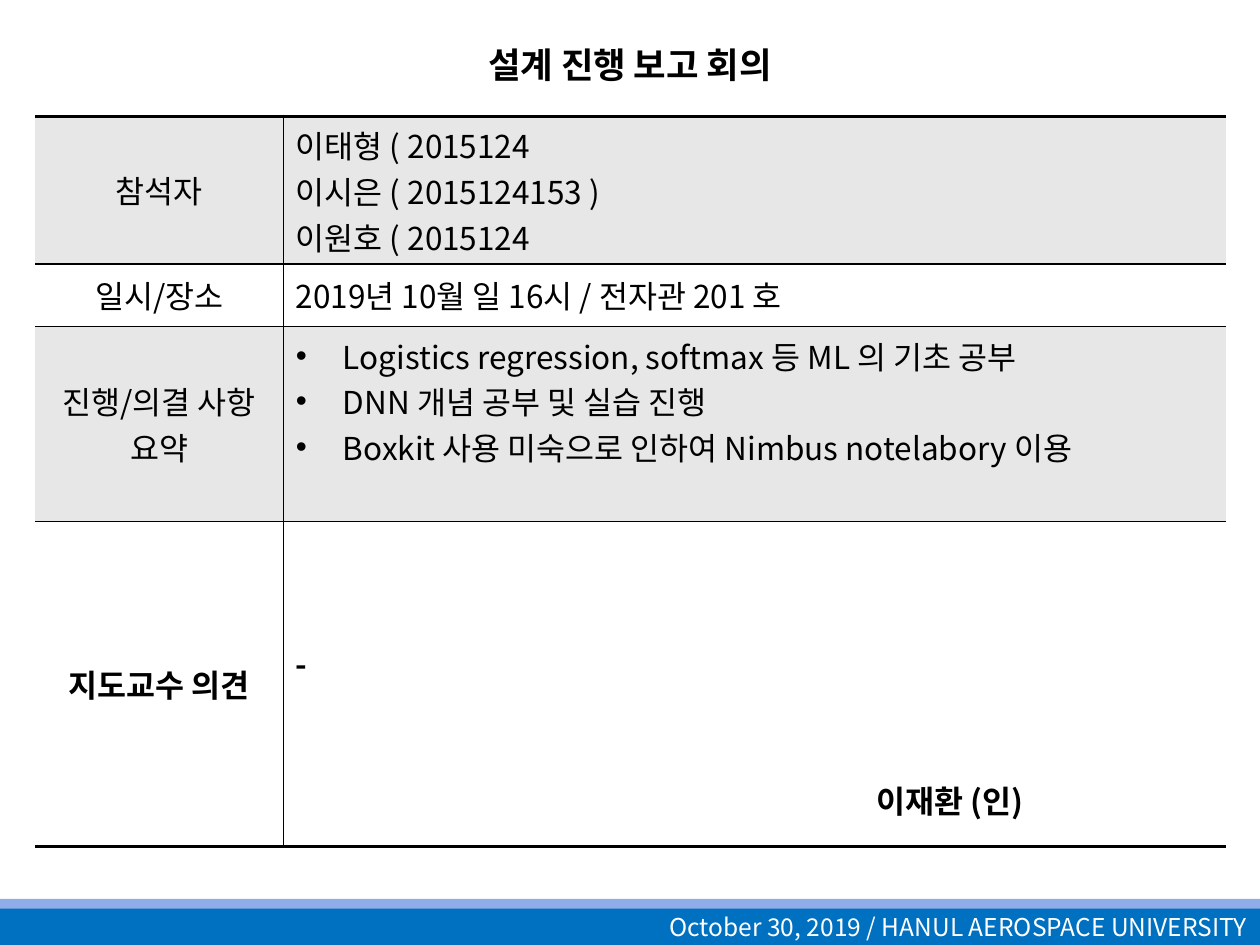
from lxml import etree
from pptx import Presentation
from pptx.dml.color import RGBColor
from pptx.enum.shapes import MSO_SHAPE
from pptx.enum.text import MSO_ANCHOR, PP_ALIGN
from pptx.oxml.ns import qn
from pptx.util import Cm, Pt

FONT = "Noto Sans CJK KR"
COLORS = {"black": "000000", "white": "FFFFFF", "band": "E7E7E7",
          "footer": "0070C0", "stripe": "8FADE9"}
COLUMN_WIDTHS = (5.0, 19.0)
ROW_HEIGHTS = (2.98, 1.26, 3.93, 6.56)
LABELS = ("참석자", "일시/장소", "진행/의결 사항 요약", "지도교수 의견")
CONTENTS = (
    ("이태형 ( 2015124", "이시은 ( 2015124153 )", "이원호 ( 2015124"),
    ("2019년 10월 일 16시 / 전자관 201 호",),
    ("Logistics regression, softmax 등 ML 의 기초 공부",
     "DNN 개념 공부 및 실습 진행",
     "Boxkit 사용 미숙으로 인하여 Nimbus notelabory 이용"),
    ("-", "이재환 (인)"),
)
SUMMARY_ROW, OPINION_ROW = 2, 3


def rgb(name):
    """Return a palette colour."""
    return RGBColor.from_string(COLORS[name])


def write(frame, lines, size, color="black", bold=False, align=PP_ALIGN.LEFT):
    """Write one paragraph per line with a single text style."""
    frame.word_wrap = True
    for number, line in enumerate(lines):
        paragraph = frame.paragraphs[0] if number == 0 else frame.add_paragraph()
        paragraph.alignment = align
        run = paragraph.add_run()
        run.text = line
        font = run.font
        font.name, font.size, font.bold = FONT, Pt(size), bold
        font.color.rgb = rgb(color)
        east_asian = etree.Element(qn("a:ea"), typeface=FONT)
        run._r.rPr.find(qn("a:latin")).addnext(east_asian)


def indent(paragraph, left, first=0.0, bullet=None):
    """Indent a paragraph and optionally give it a bullet."""
    properties = paragraph._p.get_or_add_pPr()
    properties.set("marL", str(Cm(left)))
    properties.set("indent", str(Cm(first)))
    if bullet:
        etree.SubElement(properties, qn("a:buFont"), typeface="Arial")
        etree.SubElement(properties, qn("a:buChar"), char=bullet)


def set_borders(cell, **widths):
    """Set the cell borders L, R, T and B in points; zero means no line."""
    properties = cell._tc.get_or_add_tcPr()
    for position, side in enumerate("LRTB"):
        line = etree.Element(qn("a:ln" + side), w=str(Pt(widths[side])))
        if widths[side]:
            fill = etree.SubElement(line, qn("a:solidFill"))
            etree.SubElement(fill, qn("a:srgbClr"), val=COLORS["black"])
        else:
            etree.SubElement(line, qn("a:noFill"))
        properties.insert(position, line)


def add_bar(slide, top, height, color):
    """Add a full-width plain bar."""
    bar = slide.shapes.add_shape(MSO_SHAPE.RECTANGLE, 0, Cm(top), Cm(25.4), Cm(height))
    bar.shadow.inherit = False
    bar.fill.solid()
    bar.fill.fore_color.rgb = rgb(color)
    bar.line.fill.background()
    return bar


def add_footer(slide):
    """Add the footer bar, its text and the stripe above it."""
    frame = add_bar(slide, 18.31, 0.74, "footer").text_frame
    frame.vertical_anchor = MSO_ANCHOR.MIDDLE
    write(frame, ["October 30, 2019 / HANUL AEROSPACE UNIVERSITY"], 14, "white",
          align=PP_ALIGN.RIGHT)
    add_bar(slide, 18.12, 0.2, "stripe")


def add_title(slide):
    """Add the centred small-caps title."""
    box = slide.shapes.add_textbox(Cm(1.9), Cm(0.53), Cm(21.6), Cm(1.4))
    frame = box.text_frame
    frame.vertical_anchor = MSO_ANCHOR.MIDDLE
    write(frame, ["설계 진행 보고 회의"], 25.2, bold=True, align=PP_ALIGN.CENTER)
    frame.paragraphs[0].runs[0]._r.rPr.set("cap", "small")


def add_report_table(slide):
    """Add the meeting table: labels on the left, contents on the right."""
    table = slide.shapes.add_table(
        len(ROW_HEIGHTS), len(COLUMN_WIDTHS), Cm(0.71), Cm(2.34),
        Cm(sum(COLUMN_WIDTHS)), Cm(sum(ROW_HEIGHTS))).table
    table.first_row = table.horz_banding = False
    for column, width in zip(table.columns, COLUMN_WIDTHS):
        column.width = Cm(width)
    for index, height in enumerate(ROW_HEIGHTS):
        table.rows[index].height = Cm(height)
        for col, lines in enumerate(([LABELS[index]], CONTENTS[index])):
            cell = table.cell(index, col)
            cell.vertical_anchor = MSO_ANCHOR.MIDDLE
            cell.fill.solid()
            cell.fill.fore_color.rgb = rgb("white" if index % 2 else "band")
            set_borders(cell, L=col, R=1 - col, T=2 if index == 0 else 1,
                        B=2 if index == OPINION_ROW else 1)
            write(cell.text_frame, lines, 18, bold=index == OPINION_ROW,
                  align=PP_ALIGN.LEFT if col else PP_ALIGN.CENTER)
    summary, opinion = table.cell(SUMMARY_ROW, 1), table.cell(OPINION_ROW, 1)
    summary.vertical_anchor = opinion.vertical_anchor = MSO_ANCHOR.TOP
    for paragraph in summary.text_frame.paragraphs:
        indent(paragraph, 0.95, -0.95, "•")
    opinion.margin_top = Cm(2.4)
    signature = opinion.text_frame.paragraphs[1]
    signature.space_before = Pt(52)
    indent(signature, 11.7)


def main():
    """Build and save the slide."""
    deck = Presentation()
    deck.slide_width, deck.slide_height = Cm(25.4), Cm(19.05)
    slide = deck.slides.add_slide(deck.slide_layouts[6])
    add_footer(slide)
    add_title(slide)
    add_report_table(slide)
    deck.save("out.pptx")


main()
